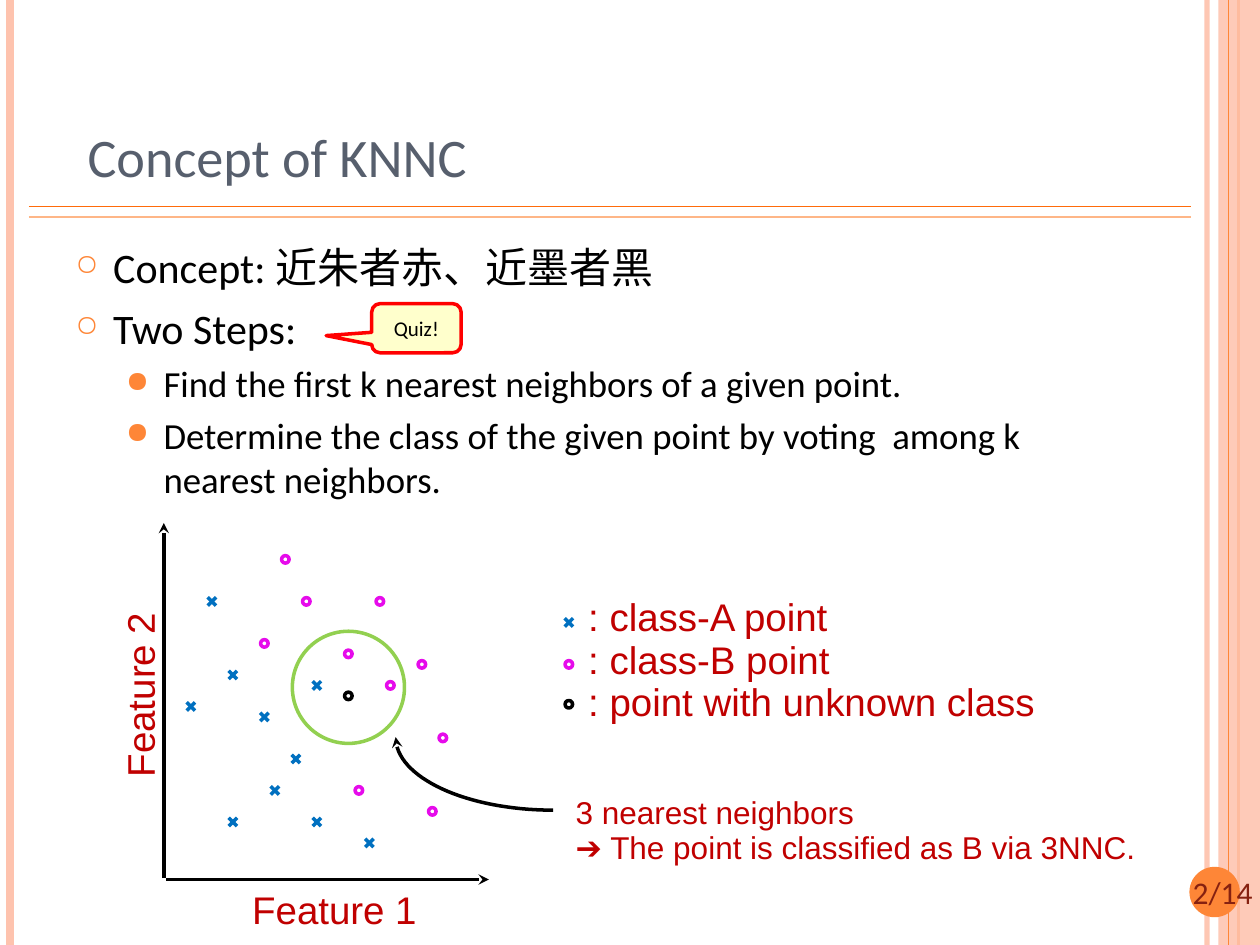
from lxml import etree
from pptx import Presentation
from pptx.dml.color import RGBColor
from pptx.enum.shapes import MSO_CONNECTOR, MSO_SHAPE
from pptx.enum.text import MSO_ANCHOR, MSO_AUTO_SIZE, PP_ALIGN
from pptx.oxml.ns import qn
from pptx.util import Inches, Pt

STRAIGHT = MSO_CONNECTOR.STRAIGHT
OVAL, RECTANGLE = MSO_SHAPE.OVAL, MSO_SHAPE.RECTANGLE
CALLOUT = MSO_SHAPE.ROUNDED_RECTANGULAR_CALLOUT
MIDDLE, BOTTOM = MSO_ANCHOR.MIDDLE, MSO_ANCHOR.BOTTOM
GROW = MSO_AUTO_SIZE.SHAPE_TO_FIT_TEXT
LEFT, CENTER, RIGHT = PP_ALIGN.LEFT, PP_ALIGN.CENTER, PP_ALIGN.RIGHT

COLORS = {
    "peach": "FEC3AE", "orange": "FE8637", "rule": "FF6B0A", "pale rule": "FEB687",
    "number": "862110", "title": "575F6D", "black": "000000", "white": "FFFFFF",
    "class A": "0070C0", "class B": "E60BEB", "label": "C00000",
    "neighbors": "92D050", "quiz": "FFFFCC", "red": "FF0000",
}
RGB = {name: RGBColor.from_string(value) for name, value in COLORS.items()}

# The page is a grid of 100 columns and 75 rows
UNIT = Inches(0.1)
COLUMNS, ROWS = 100, 75

deck = Presentation()
deck.slide_width, deck.slide_height = COLUMNS * UNIT, ROWS * UNIT
page = deck.slides.add_slide(deck.slide_layouts[6])


def draw_line(shapes, start, end, color, width, arrow=False):
    """Draw a straight line between two grid points, without a shadow."""
    line = shapes.add_connector(STRAIGHT, *(round(v * UNIT) for v in (*start, *end)))
    line.line.color.rgb = RGB[color]
    line.line.width = Pt(width)
    properties = line._element.spPr
    if arrow:
        etree.SubElement(properties.find(qn("a:ln")), qn("a:tailEnd"), type="stealth")
    etree.SubElement(properties, qn("a:effectLst"))
    return line


def write_text(frame, lines, size, color, font="Calibri", **formats):
    """Fill a text frame, one paragraph a line, with the same format throughout."""
    for index, text in enumerate(lines):
        para = frame.add_paragraph() if index else frame.paragraphs[0]
        for name, value in formats.items():
            setattr(para, name, value)
        span = para.add_run()
        span.text = text
        for name, value in {"size": Pt(size), "name": font}.items():
            setattr(span.font, name, value)
        span.font.color.rgb = RGB[color]


# Side bars and title rules
right_bar = draw_line(page.shapes, (95.8, 0), (95.8, ROWS), "peach", 3)
draw_line(page.shapes, (0.8, 0), (0.8, ROWS), "peach", 4.5)
draw_line(page.shapes, (98.3, 0), (98.3, ROWS), "orange", 1.5)
band = page.shapes.add_shape(RECTANGLE, *(round(v * UNIT) for v in (96.7, 0, 3.3, ROWS)))
band.shadow.inherit = False
band.fill.solid()
band.fill.fore_color.rgb = RGB["peach"]
band.line.fill.background()
for shape, opacity in ((right_bar, 93), (band, 87)):
    tint = next(shape._element.spPr.iter(qn("a:srgbClr")))
    etree.SubElement(tint, qn("a:alpha"), val=str(opacity * 1000))
draw_line(page.shapes, (97.5, 0), (97.5, ROWS), "orange", 0.75)
for row, color in ((16.4, "rule"), (17.2, "pale rule")):
    draw_line(page.shapes, (2.3, row), (94.5, row), color, 1)

# Plot points lie on steps of a twelfth of an inch
STEP = 10 / 12
PLOT_LEFT, PLOT_TOP = 15.15, 44.4
MARK = 0.6
class_a = [(0, 14), (4, 11), (8, 22), (4, 25), (2, 4), (12, 25),
           (7, 15), (12, 12), (10, 19), (17, 27)]
class_b = [(7, 8), (11, 4), (9, 0), (15, 9), (18, 4), (16, 22),
           (19, 12), (22, 10), (24, 17), (23, 24)]
legend_a, legend_b, legend_unknown = (36, 6), (36, 10), (36, 13.8)

for column, row in class_a + [legend_a]:
    x, y = PLOT_LEFT + column * STEP, PLOT_TOP + row * STEP
    cross = page.shapes.add_group_shape()
    for rise in (-0.33, 0.33):
        draw_line(cross.shapes, (x - 0.33, y - rise), (x + 0.33, y + rise), "class A", 2)

# Circles: center, diameter, fill and line
circles = [((96.4, 70.8), 4, "orange", None), ((27.65, 54.55), 8.9, None, "neighbors")]
for points, fill, outline in ((class_b + [legend_b], None, "class B"),
                              ([(15, 13), legend_unknown], "white", "black")):
    circles += [((PLOT_LEFT + column * STEP, PLOT_TOP + row * STEP), MARK, fill, outline)
                for column, row in points]
for (x, y), size, fill, outline in circles:
    circle = page.shapes.add_shape(
        OVAL, *(round(v * UNIT) for v in (x - size / 2, y - size / 2, size, size)))
    circle.shadow.inherit = False
    if fill:
        circle.fill.solid()
        circle.fill.fore_color.rgb = RGB[fill]
    else:
        circle.fill.background()
    if outline:
        circle.line.color.rgb = RGB[outline]
        circle.line.width = Pt(2)
    else:
        circle.line.fill.background()

# Axes
draw_line(page.shapes, (13, 69.7), (13, 41.5), "black", 2, arrow=True)
draw_line(page.shapes, (13.2, 69.8), (38.8, 69.8), "black", 2, arrow=True)

# Curved arrow from the note to the neighborhood, a cubic curve in short pieces
controls = [(43.9, 64.3), (37, 64.3), (31.4, 61.7), (31.4, 58.5)]
PIECES = 32
curve = []
for piece in range(PIECES + 1):
    t = piece / PIECES
    weights = ((1 - t) ** 3, 3 * t * (1 - t) ** 2, 3 * t ** 2 * (1 - t), t ** 3)
    curve.append(tuple(round(UNIT * sum(w * point[axis] for w, point in zip(weights, controls)))
                       for axis in (0, 1)))
builder = page.shapes.build_freeform(*curve[0])
builder.add_line_segments(curve[1:], close=False)
pointer = builder.convert_to_shape()
pointer.shadow.inherit = False
pointer.fill.background()
pointer.line.color.rgb = RGB["black"]
pointer.line.width = Pt(2)
etree.SubElement(pointer._element.spPr.find(qn("a:ln")), qn("a:tailEnd"), type="stealth")

# Title, page number and plot labels
texts = [
    ((5, 3, 81.7, 12.5), [" Concept of KNNC"], 31, "title", "Calibri",
     {"line_spacing": 0.9}, {"word_wrap": True, "vertical_anchor": BOTTOM}, 0),
    ((91.3, 68.8, 9.1, 4), ["2/14"], 18, "number", "Calibri",
     {"alignment": RIGHT}, {"word_wrap": True, "auto_size": GROW}, 0),
]
labels = [
    ((18.9, 71, 15.3, 3.5), ["Feature 1"], 22, CENTER, 0),
    ((4, 53.4, 15.3, 3.5), ["Feature 2"], 22, CENTER, 270),
    ((45.7, 47.7, 37.9, 10.6),
     [": class-A point", ": class-B point", ": point with unknown class"], 22, LEFT, 0),
    ((44.7, 63.4, 47.5, 9.5),
     ["3 nearest neighbors", "➔ The point is classified as B via 3NNC."], 18, LEFT, 0),
]
for place, lines, size, alignment, turn in labels:
    formats = {"alignment": alignment, "line_spacing": 0.65, "space_before": Pt(size / 3)}
    texts.append((place, lines, size, "label", "Arial", formats,
                  {"word_wrap": False, "auto_size": GROW}, turn))
for place, lines, size, color, font, formats, frame_formats, turn in texts:
    box = page.shapes.add_textbox(*(round(v * UNIT) for v in place))
    box.rotation = turn
    for name, value in frame_formats.items():
        setattr(box.text_frame, name, value)
    write_text(box.text_frame, lines, size, color, font, **formats)

# Bulleted body: text, level, size, space before, indent, bullet and its size
bullets = [
    ("Concept: 近朱者赤、近墨者黑", 0, 24, 6, 3, "○", 70),
    ("Two Steps:", 0, 24, 6, 3, "○", 70),
    ("Find the first k nearest neighbors of a given point.", 1, 21, 4.5, 7, "●", 80),
    ("Determine the class of the given point by voting  among k nearest neighbors.",
     1, 21, 4.5, 7, "●", 80),
]
body = page.shapes.add_textbox(*(round(v * UNIT) for v in (5, 18.7, 81.7, 52.1)))
body.text_frame.word_wrap = True
for index, (text, level, size, space, indent, mark, mark_size) in enumerate(bullets):
    para = body.text_frame.add_paragraph() if index else body.text_frame.paragraphs[0]
    para.level, para.space_before = level, Pt(space)
    span = para.add_run()
    span.text = text
    span.font.size, span.font.name = Pt(size), "Calibri"
    span.font.color.rgb = RGB["black"]
    properties = para._p.get_or_add_pPr()
    properties.set("marL", str(indent * UNIT))
    properties.set("indent", str(-3 * UNIT))
    tint = etree.SubElement(properties, qn("a:buClr"))
    etree.SubElement(tint, qn("a:srgbClr"), val=COLORS["orange"])
    etree.SubElement(properties, qn("a:buSzPct"), val=str(mark_size * 1000))
    etree.SubElement(properties, qn("a:buChar"), char=mark)

# Quiz callout
quiz = page.shapes.add_shape(CALLOUT, *(round(v * UNIT) for v in (29.5, 24.1, 7.1, 3.9)))
quiz.shadow.inherit = False
for index, value in enumerate((-1.01, 0.15, 0.17)):
    quiz.adjustments[index] = value
quiz.fill.solid()
quiz.fill.fore_color.rgb = RGB["quiz"]
quiz.line.color.rgb = RGB["red"]
quiz.line.width = Pt(2)
quiz.text_frame.vertical_anchor = MIDDLE
write_text(quiz.text_frame, ["Quiz!"], 12, "black", alignment=CENTER)

deck.save("out.pptx")
